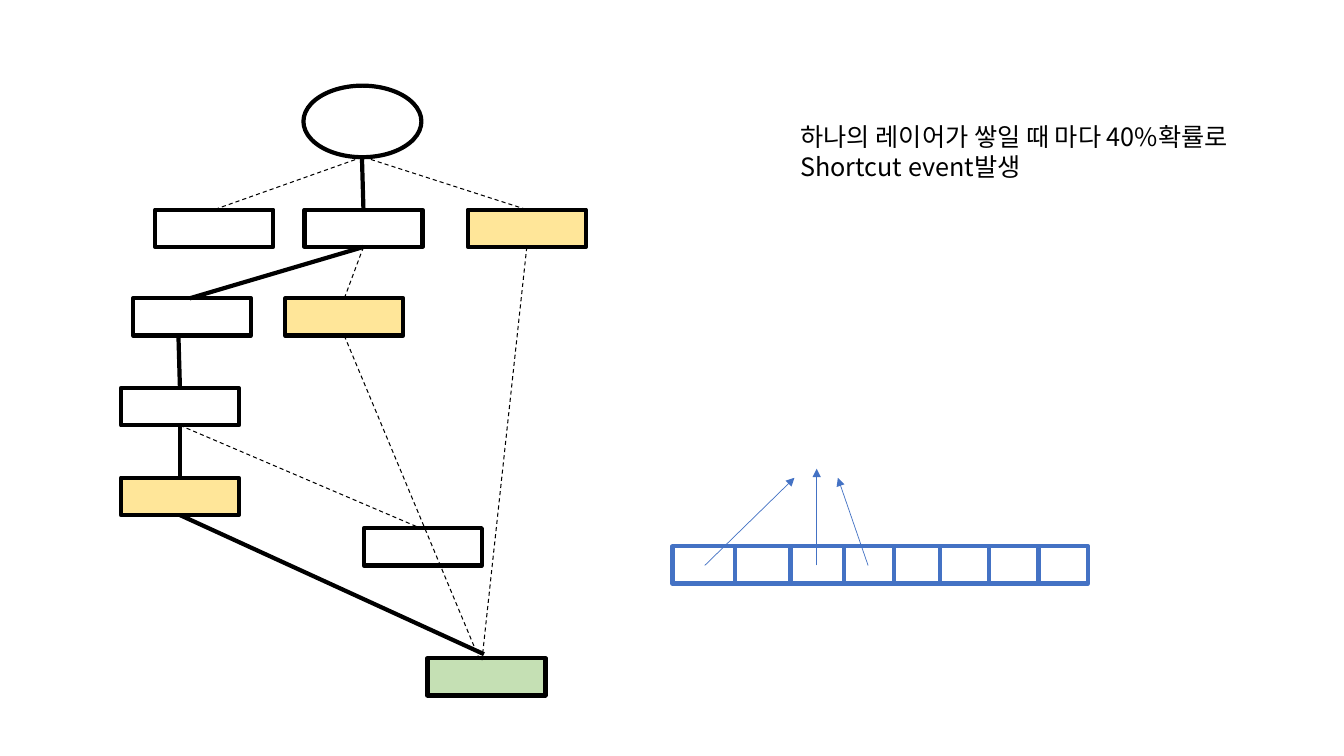
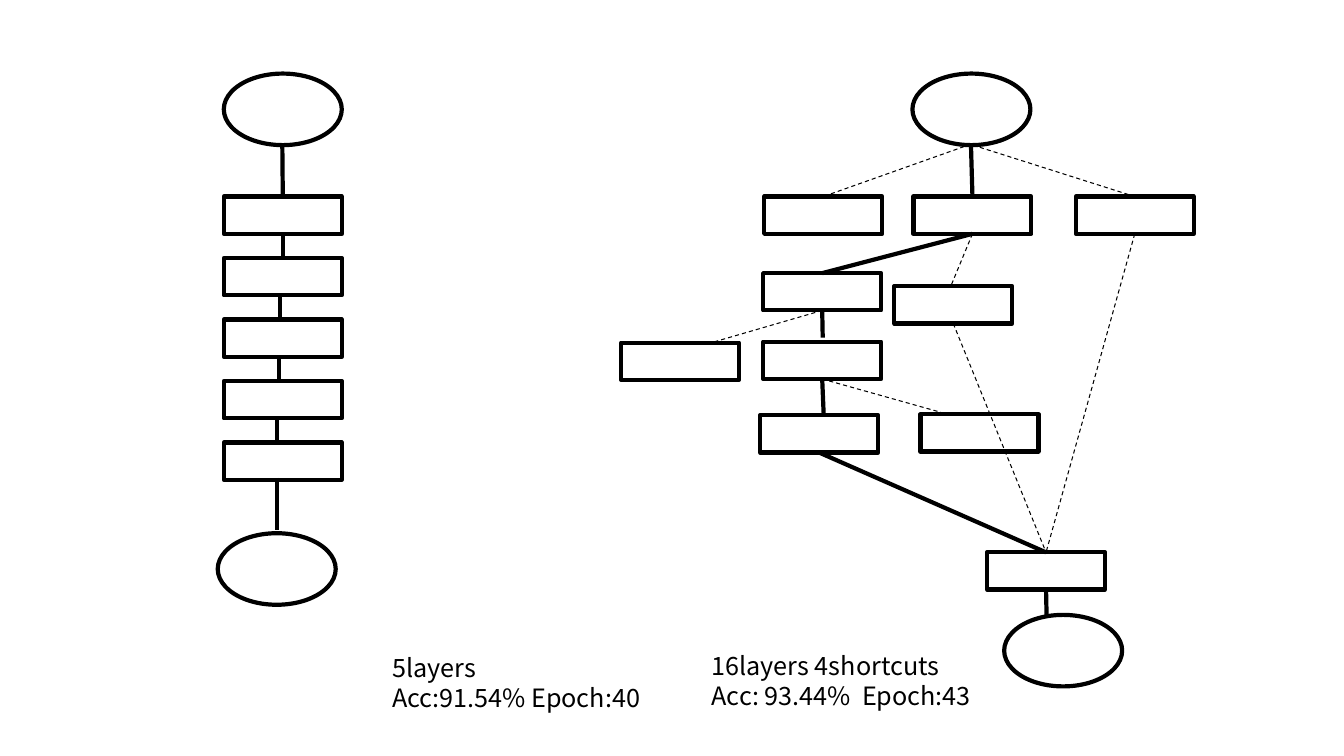
from dataclasses import dataclass

from lxml.etree import SubElement
from pptx import Presentation
from pptx.dml.color import RGBColor
from pptx.enum.dml import MSO_LINE_DASH_STYLE as Dash
from pptx.enum.shapes import MSO_CONNECTOR, MSO_SHAPE
from pptx.enum.text import MSO_AUTO_SIZE
from pptx.oxml.ns import qn
from pptx.shapes.autoshape import Shape
from pptx.slide import Slide
from pptx.util import Emu, Pt

# Shared look: 100 px to the inch
EMU_PER_PX = 9144
SLIDE_SIZE = (1333, 750)
BOX_SIZE = (117, 37)
OVAL_SIZE = (117, 71)
JOIN_DISTANCE = 2
FONT = "Noto Sans CJK KR"
BLACK, BLUE, YELLOW, GREEN = "000000", "4472C4", "FFE699", "C5E0B4"
TEXT_FORMAT = {"name": FONT, "size": Pt(18)}
FRAME_FORMAT = {"word_wrap": True, "auto_size": MSO_AUTO_SIZE.SHAPE_TO_FIT_TEXT}


@dataclass(frozen=True)
class LineStyle:
    color: str
    width: float
    dashed: bool = False
    arrow: bool = False


SOLID = LineStyle(BLACK, 3)
DASHED = LineStyle(BLACK, 0.75, dashed=True)
BORDER = LineStyle(BLUE, 3)
ARROW = LineStyle(BLUE, 0.5, arrow=True)


@dataclass(frozen=True)
class Node:
    x: int
    y: int
    fill: str = ""
    size: tuple[int, int] = BOX_SIZE
    kind: MSO_SHAPE = MSO_SHAPE.RECTANGLE
    line: LineStyle = SOLID


@dataclass(frozen=True)
class Link:
    x1: int
    y1: int
    x2: int
    y2: int
    style: LineStyle = SOLID


@dataclass(frozen=True)
class Note:
    x: int
    y: int
    width: int
    lines: tuple[str, ...]


def px(length: float) -> Emu:
    return Emu(round(length * EMU_PER_PX))


def rgb(color: str) -> RGBColor:
    return RGBColor.from_string(color)


def oval(x: int, y: int) -> Node:
    return Node(x, y, size=OVAL_SIZE, kind=MSO_SHAPE.OVAL)


def style_line(line, style: LineStyle) -> None:
    line.color.rgb = rgb(style.color)
    line.width = Pt(style.width)
    if style.dashed:
        line.dash_style = Dash.DASH


def add_node(slide: Slide, node: Node) -> Shape:
    shape = slide.shapes.add_shape(node.kind, px(node.x), px(node.y), *map(px, node.size))
    shape.shadow.inherit = False
    if node.fill:
        shape.fill.solid()
        shape.fill.fore_color.rgb = rgb(node.fill)
    else:
        shape.fill.background()
    style_line(shape.line, node.line)
    return shape


def find_side(boxes: list[Shape], x: int, y: int) -> tuple[Shape, int] | None:
    """Return the box and side whose middle lies at the point."""
    reach = px(JOIN_DISTANCE)
    for box in boxes:
        if abs(box.left + box.width // 2 - px(x)) <= reach:
            for side, edge in ((0, box.top), (2, box.top + box.height)):
                if abs(edge - px(y)) <= reach:
                    return box, side
    return None


def add_link(slide: Slide, link: Link, boxes: list[Shape]) -> None:
    connector = slide.shapes.add_connector(
        MSO_CONNECTOR.STRAIGHT, px(link.x1), px(link.y1), px(link.x2), px(link.y2))
    style_line(connector.line, link.style)
    if link.style.arrow:
        SubElement(connector.line._get_or_add_ln(), qn("a:tailEnd"), type="triangle")
    SubElement(connector._element.spPr, qn("a:effectLst"))
    start = find_side(boxes, link.x1, link.y1)
    end = find_side(boxes, link.x2, link.y2)
    if start:
        connector.begin_connect(*start)
    if end:
        connector.end_connect(*end)


def add_note(slide: Slide, note: Note) -> None:
    frame = slide.shapes.add_textbox(px(note.x), px(note.y), px(note.width), px(71)).text_frame
    for name, value in FRAME_FORMAT.items():
        setattr(frame, name, value)
    for index, text in enumerate(note.lines):
        paragraph = frame.add_paragraph() if index else frame.paragraphs[0]
        paragraph.line_spacing = Pt(21.6)
        run = paragraph.add_run()
        run.text = text
        for name, value in TEXT_FORMAT.items():
            setattr(run.font, name, value)
        run.font.color.rgb = rgb(BLACK)
        SubElement(run.font._element, qn("a:ea"), typeface=FONT)


def add_diagram(presentation, nodes: list[Node], links: list[Link], notes: list[Note]) -> None:
    slide = presentation.slides.add_slide(presentation.slide_layouts[6])
    shapes = [add_node(slide, node) for node in nodes]
    boxes = [shape for shape, node in zip(shapes, nodes) if node.kind == MSO_SHAPE.RECTANGLE]
    for link in links:
        add_link(slide, link, boxes)
    for note in notes:
        add_note(slide, note)


# Slide 1: layer tree with shortcut candidates, and a row of cells
ROW_TOP, ROW_HEIGHT = 542, 37
CELL_EDGES = (729, 784, 837, 887, 932, 981, 1030)
EVENT_NODES = [
    oval(301, 85),
    Node(154, 208), Node(302, 208), Node(464, 208, YELLOW),
    Node(132, 296), Node(283, 296, YELLOW),
    Node(120, 385),
    Node(120, 474, YELLOW),
    Node(361, 524),
    Node(424, 653, GREEN),
    Node(667, ROW_TOP, size=(412, ROW_HEIGHT), line=BORDER),
]
EVENT_LINKS = [
    Link(359, 156, 359, 208),
    Link(359, 156, 213, 208, DASHED),
    Link(361, 156, 522, 208, DASHED),
    Link(361, 244, 188, 296),
    Link(361, 244, 340, 296, DASHED),
    Link(177, 333, 177, 385),
    Link(179, 422, 417, 524, DASHED),
    Link(177, 421, 177, 474),
    Link(522, 244, 478, 655, DASHED),
    Link(342, 333, 476, 655, DASHED),
    Link(178, 509, 480, 649),
    *(Link(x, ROW_TOP, x, ROW_TOP + ROW_HEIGHT, BORDER) for x in CELL_EDGES),
    Link(699, 561, 788, 474, ARROW),
    Link(810, 561, 810, 465, ARROW),
    Link(861, 561, 831, 474, ARROW),
]
EVENT_NOTES = [
    Note(784, 115, 502, ("하나의 레이어가 쌓일 때 마다 40%확률로", "Shortcut event발생")),
]

# Slide 2: plain stack on the left, network with shortcuts on the right
STACK_NODES = [oval(222, 73), *(Node(222, 195 + 61 * i) for i in range(5)), oval(216, 529)]
STACK_LINKS = [
    Link(280, 143, 280, 195),
    Link(280, 232, 280, 256),
    Link(278, 292, 278, 317),
    Link(277, 353, 277, 378),
    Link(275, 413, 275, 438),
    Link(275, 474, 275, 526),
]
NETWORK_NODES = [
    oval(905, 73),
    Node(758, 195), Node(906, 195), Node(1067, 195),
    Node(757, 271), Node(887, 284),
    Node(616, 340), Node(757, 339),
    Node(754, 412), Node(913, 411),
    Node(979, 548),
    oval(996, 610),
]
NETWORK_LINKS = [
    Link(963, 143, 963, 195),
    Link(963, 143, 817, 195, DASHED),
    Link(965, 144, 1126, 195, DASHED),
    Link(965, 232, 816, 271),
    Link(965, 232, 943, 284, DASHED),
    Link(816, 309, 816, 335),
    Link(815, 306, 709, 339, DASHED),
    Link(816, 375, 933, 409, DASHED),
    Link(817, 375, 817, 412),
    Link(1126, 231, 1038, 548, DASHED),
    Link(946, 321, 1038, 548, DASHED),
    Link(813, 449, 1038, 548),
    Link(1038, 584, 1038, 610),
]
RESULT_NOTES = [
    Note(379, 642, 358, ("5layers", "Acc:91.54% Epoch:40")),
    Note(696, 640, 293, ("16layers 4shortcuts", "Acc: 93.44%  Epoch:43")),
]


def main() -> None:
    presentation = Presentation()
    presentation.slide_width, presentation.slide_height = map(px, SLIDE_SIZE)
    add_diagram(presentation, EVENT_NODES, EVENT_LINKS, EVENT_NOTES)
    add_diagram(presentation, STACK_NODES + NETWORK_NODES,
                STACK_LINKS + NETWORK_LINKS, RESULT_NOTES)
    presentation.save("out.pptx")


if __name__ == "__main__":
    main()
